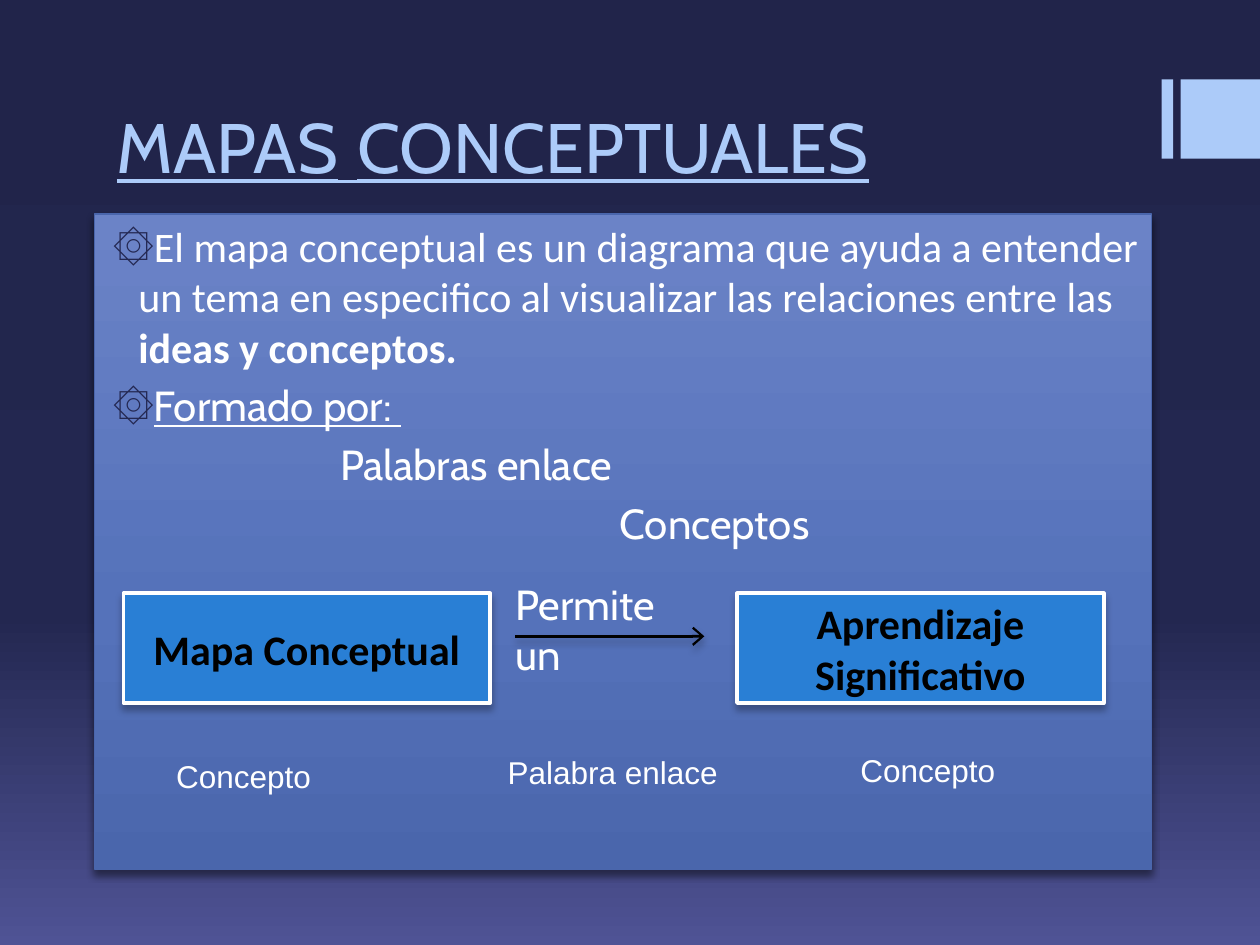
import pptx
import pptx.util
import pptx.dml.color
import pptx.enum.shapes
import pptx.enum.text
import pptx.oxml
import pptx.oxml.ns

Inches = pptx.util.Inches
Pt = pptx.util.Pt
RGBColor = pptx.dml.color.RGBColor
ALIGN = pptx.enum.text.PP_ALIGN
ANCHOR = pptx.enum.text.MSO_ANCHOR
RECTANGLE = pptx.enum.shapes.MSO_SHAPE.RECTANGLE

ACCENT = RGBColor(0xAC, 0xCB, 0xF9)
WHITE = RGBColor(0xFF, 0xFF, 0xFF)
BLACK = RGBColor(0, 0, 0)
BULLET = RGBColor(0x24, 0x28, 0x52)
BOX_FILL = RGBColor(0x29, 0x7F, 0xD5)
PANEL_LINE = RGBColor(0x4A, 0x66, 0xAC)
BACKGROUND_STOPS = [(0, RGBColor(0x21, 0x24, 0x4A)),
                    (65, RGBColor(0x23, 0x27, 0x50)),
                    (100, RGBColor(0x4F, 0x53, 0x95))]
PANEL_STOPS = [(0, RGBColor(0x6B, 0x83, 0xC7)),
               (60, RGBColor(0x55, 0x72, 0xBA)),
               (100, PANEL_LINE)]

TITLE = {"name": "Cabin", "size": Pt(40), "underline": True}
CALIBRI = {"name": "Calibri", "size": Pt(24)}
CALIBRI_BOLD = CALIBRI | {"bold": True}
CABIN = {"name": "Cabin", "size": Pt(24)}
CABIN_UNDERLINED = CABIN | {"underline": True}
CAPTION = {"name": "Arial", "size": Pt(18)}


def parse_element(xml):
    namespace = pptx.oxml.ns.nsdecls("a")
    return pptx.oxml.parse_xml(xml.replace(">", f" {namespace}>", 1))


def set_gradient(fill, element, stops):
    """Fill from top to bottom through the given (percent, colour) stops."""
    fill.gradient()
    fill.gradient_angle = 270
    stop_list = element.xpath(".//a:gsLst")[0]
    for stop in list(stop_list):
        stop_list.remove(stop)
    for percent, color in stops:
        stop_list.append(parse_element(
            f'<a:gs pos="{percent * 1000}"><a:srgbClr val="{color}"/></a:gs>'))


def add_shadow(shape, opacity):
    properties = shape._element.spPr
    for effects in properties.findall(pptx.oxml.ns.qn("a:effectLst")):
        properties.remove(effects)
    properties.append(parse_element(
        '<a:effectLst><a:outerShdw blurRad="50800" dist="38100" dir="5400000" '
        'algn="ctr" rotWithShape="0"><a:srgbClr val="000000">'
        f'<a:alpha val="{opacity * 1000}"/></a:srgbClr></a:outerShdw></a:effectLst>'))


def add_run(paragraph, text, style, color):
    run = paragraph.add_run()
    run.text = text
    for name, value in style.items():
        setattr(run.font, name, value)
    run.font.color.rgb = color


def add_rectangle(slide, box, color=None):
    shape = slide.shapes.add_shape(RECTANGLE, *map(Inches, box))
    shape.shadow.inherit = False
    if color is not None:
        shape.fill.solid()
        shape.fill.fore_color.rgb = color
    shape.line.fill.background()
    return shape


def add_text(slide, box, runs, color, anchor=ANCHOR.TOP):
    shape = slide.shapes.add_textbox(*map(Inches, box))
    shape.text_frame.word_wrap = True
    shape.text_frame.vertical_anchor = anchor
    for text, style in runs:
        add_run(shape.text_frame.paragraphs[0], text, style, color)


def add_corner_bars(slide, left, top, size):
    add_rectangle(slide, (left, top, 0.09, size), ACCENT)
    add_rectangle(slide, (left + 0.15, top, size, size), ACCENT)


def add_panel(slide, box):
    """Text panel: bulleted lines, then lines stepped in by their margins."""
    panel = add_rectangle(slide, box)
    set_gradient(panel.fill, panel._element, PANEL_STOPS)
    panel.line.color.rgb = PANEL_LINE
    panel.line.width = Pt(1)
    add_shadow(panel, 48)
    frame = panel.text_frame
    frame.word_wrap = True
    frame.vertical_anchor = ANCHOR.TOP
    lines = [
        (0.25, True, [("El mapa conceptual es un diagrama que ayuda a entender un tema en "
                       "especifico al visualizar las relaciones entre las ", CALIBRI),
                      ("ideas y conceptos.", CALIBRI_BOLD)]),
        (0.25, True, [("Formado por: ", CABIN_UNDERLINED)]),
        (1.85, False, [("Palabras enlace", CABIN)]),
        (4.07, False, [("Conceptos", CABIN)]),
    ]
    for index, (margin, bulleted, runs) in enumerate(lines):
        paragraph = frame.add_paragraph() if index else frame.paragraphs[0]
        paragraph.alignment = ALIGN.LEFT
        paragraph.space_before = Pt(4.8)
        properties = paragraph._p.get_or_add_pPr()
        properties.set("marL", str(Inches(margin)))
        properties.set("indent", str(Inches(-0.2 if bulleted else 0)))
        if bulleted:
            properties.append(parse_element(
                f'<a:buClr><a:srgbClr val="{BULLET}"/></a:buClr>'))
            properties.append(parse_element('<a:buFont typeface="Arial"></a:buFont>'))
            properties.append(parse_element('<a:buChar char="۞"></a:buChar>'))
        for text, style in runs:
            add_run(paragraph, text, style, WHITE)


def add_concept_box(slide, box, text):
    shape = add_rectangle(slide, box, BOX_FILL)
    shape.line.color.rgb = WHITE
    shape.line.width = Pt(2.25)
    add_shadow(shape, 28)
    shape.text_frame.word_wrap = True
    shape.text_frame.vertical_anchor = ANCHOR.MIDDLE
    paragraph = shape.text_frame.paragraphs[0]
    paragraph.alignment = ALIGN.CENTER
    add_run(paragraph, text, CALIBRI_BOLD, BLACK)


def add_arrow(slide, left, top, width):
    arrow = slide.shapes.add_connector(
        pptx.enum.shapes.MSO_CONNECTOR.STRAIGHT,
        Inches(left), Inches(top), Inches(left + width), Inches(top))
    arrow.line.color.rgb = BLACK
    arrow.line.width = Pt(1.5)
    arrow.line._get_or_add_ln().append(
        parse_element('<a:tailEnd type="arrow" w="lg" len="med"></a:tailEnd>'))
    add_shadow(arrow, 28)


def add_concept_map(slide, left, top):
    """Two concepts joined by a linking phrase, with captions below."""
    add_concept_box(slide, (left, top, 2.91, 0.87), "Mapa Conceptual")
    add_arrow(slide, left + 3.11, top + 0.34, 1.5)
    add_concept_box(slide, (left + 4.87, top, 2.91, 0.87), "Aprendizaje Significativo")
    add_text(slide, (left + 3.01, top - 0.17, 1.73, 0.5), [("Permite un", CABIN)], WHITE)
    captions = [(0.32, 1.25, "Concepto"), (2.95, 1.22, "Palabra enlace"),
                (5.75, 1.2, "Concepto")]
    for across, down, text in captions:
        add_text(slide, (left + across, top + down, 1.89, 0.4), [(text, CAPTION)], WHITE)


def main():
    presentation = pptx.Presentation()
    presentation.slide_width = Inches(10)
    presentation.slide_height = Inches(7.5)
    slide = presentation.slides.add_slide(presentation.slide_layouts[6])
    set_gradient(slide.background.fill, slide.element, BACKGROUND_STOPS)

    add_corner_bars(slide, 9.22, 0.63, 0.63)
    title_runs = [("MAPAS", TITLE), (" ", TITLE | {"name": "Arial"}), ("CONCEPTUALES", TITLE)]
    add_text(slide, (0.83, 0.76, 6.93, 0.78), title_runs, ACCENT, ANCHOR.BOTTOM)
    add_panel(slide, (0.75, 1.7, 8.39, 5.2))
    add_concept_map(slide, 0.98, 4.71)
    presentation.save("out.pptx")


if __name__ == "__main__":
    main()
